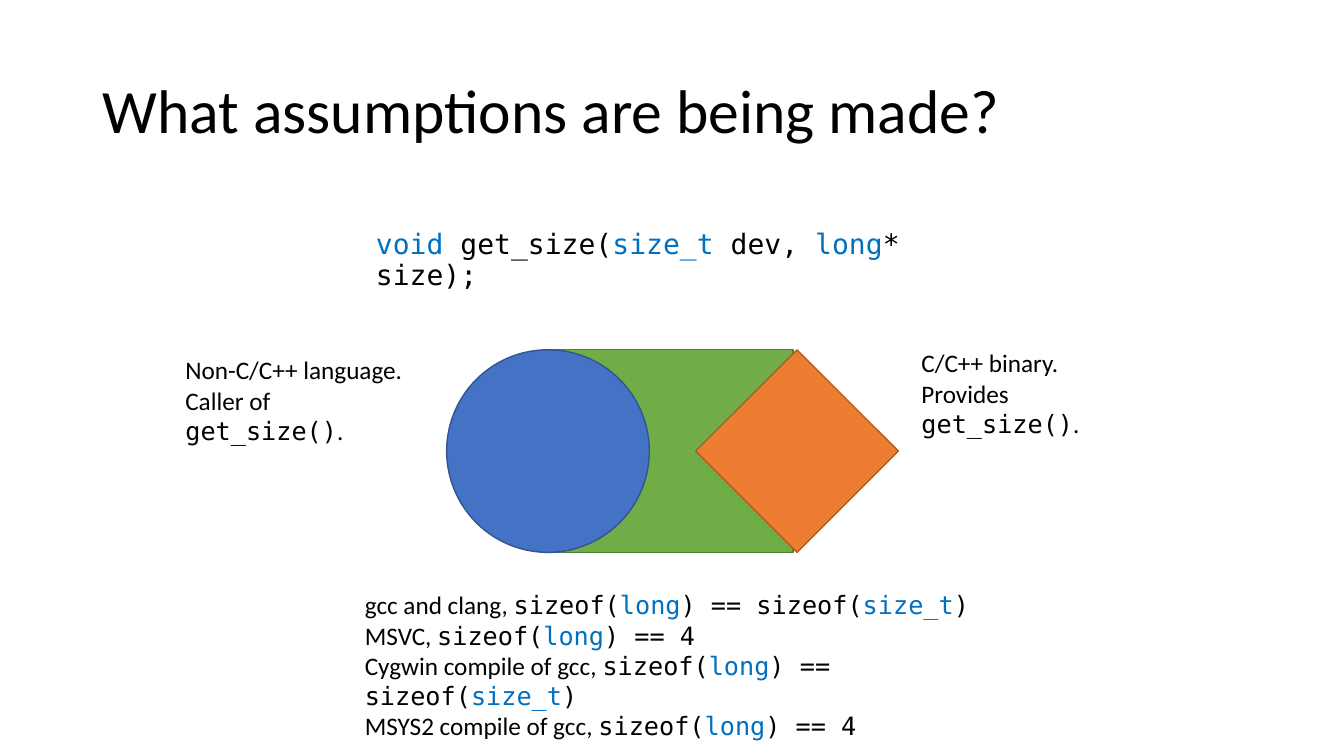
from dataclasses import dataclass

from pptx import Presentation
from pptx.dml.color import RGBColor
from pptx.enum.shapes import MSO_SHAPE as SHAPE
from pptx.enum.text import MSO_ANCHOR as ANCHOR
from pptx.util import Inches, Pt


@dataclass(frozen=True)
class Theme:
    """Colours, fonts and type sizes of the slide."""
    ink: str = "000000"
    keyword: str = "0070C0"
    bridge: tuple = ("70AD47", "538035")
    caller: tuple = ("4472C4", "325491")
    binary: tuple = ("ED7D31", "AF5C24")
    body: str = "Calibri"
    mono: str = "DejaVu Sans Mono"
    title_size: int = 44
    code_size: int = 20
    note_size: int = 18


T = Theme()
STYLES = {
    "text": (T.body, T.ink),
    "code": (T.mono, T.ink),
    "key": (T.mono, T.keyword),
}
SAME_SIZE = [("code", "sizeof("), ("key", "long"), ("code", ") == sizeof("),
             ("key", "size_t"), ("code", ")")]
FOUR_BYTES = [("code", "sizeof("), ("key", "long"), ("code", ") == 4")]


def add_text(s, box, lines, size, anchor=ANCHOR.TOP, **spacing):
    """Add a text box whose lines are lists of (style, text) runs."""
    tf = s.shapes.add_textbox(*map(Inches, box)).text_frame
    tf.word_wrap = True
    tf.vertical_anchor = anchor
    for i, line in enumerate(lines):
        p = tf.paragraphs[0] if i == 0 else tf.add_paragraph()
        for name, value in spacing.items():
            setattr(p, name, value)
        for style, text in line:
            r = p.add_run()
            r.text = text
            font, color = STYLES[style]
            for name, value in {"name": font, "size": Pt(size)}.items():
                setattr(r.font, name, value)
            r.font.color.rgb = RGBColor.from_string(color)


def add_title(s, box):
    """Add the slide title."""
    add_text(s, box, [[("text", "What assumptions are being made?")]],
             T.title_size, ANCHOR.MIDDLE, line_spacing=0.9)


def add_signature(s, box):
    """Add the function declaration."""
    line = [("key", "void "), ("code", "get_size("), ("key", "size_t"),
            ("code", " dev, "), ("key", "long"), ("code", "* size);")]
    add_text(s, box, [line], T.code_size, line_spacing=0.9, space_before=Pt(10))


def add_diagram(s, box):
    """Group a caller circle and a binary diamond over the bridge between them."""
    x, y, w, h = box
    parts = [
        (SHAPE.RECTANGLE, x + h / 2 - 0.04, w - h, T.bridge),
        (SHAPE.FLOWCHART_CONNECTOR, x, h, T.caller),
        (SHAPE.DIAMOND, x + w - h, h, T.binary),
    ]
    group = s.shapes.add_group_shape()
    for kind, left, width, (fill, line) in parts:
        sp = group.shapes.add_shape(kind, *map(Inches, (left, y, width, h)))
        sp.shadow.inherit = False
        sp.fill.solid()
        sp.fill.fore_color.rgb = RGBColor.from_string(fill)
        sp.line.color.rgb = RGBColor.from_string(line)
        sp.line.width = Pt(1)


def add_side_note(s, box, heading, role):
    """Describe one side of the call."""
    add_text(s, box, [[("text", heading)],
                      [("text", role), ("code", "get_size()"), ("text", ".")]],
             T.note_size)


def add_compilers(s, box):
    """List what each compiler assumes about the size of long."""
    rows = [("gcc and clang, ", SAME_SIZE), ("MSVC, ", FOUR_BYTES),
            ("Cygwin compile of gcc, ", SAME_SIZE),
            ("MSYS2 compile of gcc, ", FOUR_BYTES)]
    add_text(s, box, [[("text", name), *claim] for name, claim in rows],
             T.note_size)


def main():
    """Build the slide and save it."""
    prs = Presentation()
    prs.slide_width, prs.slide_height = Inches(13.33), Inches(7.5)
    s = prs.slides.add_slide(prs.slide_layouts[6])
    add_title(s, (0.92, 0.4, 11.5, 1.45))
    add_diagram(s, (4.43, 3.47, 4.48, 2.01))
    add_signature(s, (3.63, 2.24, 6.08, 0.39))
    add_side_note(s, (1.74, 3.47, 2.56, 0.71), "Non-C/C++ language.", "Caller of ")
    add_side_note(s, (9.04, 3.4, 2.58, 0.71), "C/C++ binary.", "Provides ")
    add_compilers(s, (3.52, 5.8, 6.74, 1.31))
    prs.save("out.pptx")


if __name__ == "__main__":
    main()
